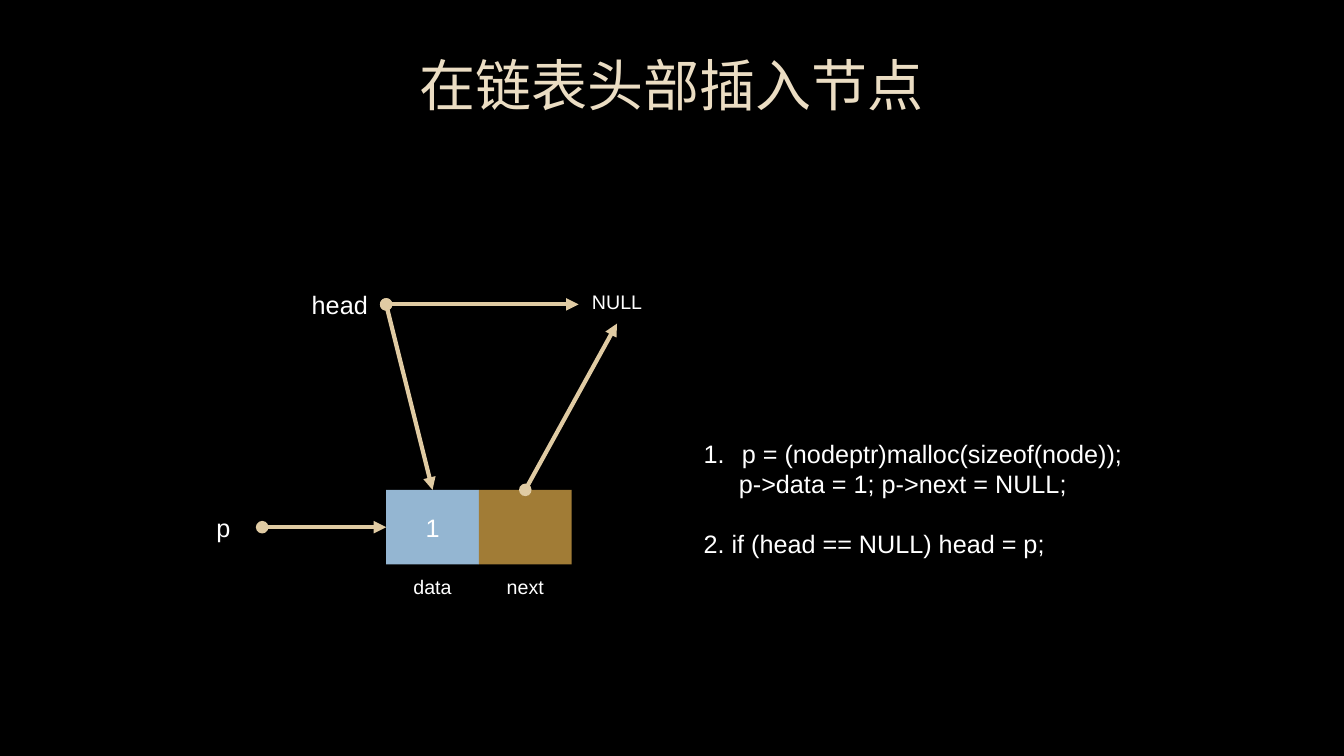
import pptx
import pptx.util
from lxml import etree
from pptx.dml.color import RGBColor
from pptx.enum.shapes import MSO_CONNECTOR, MSO_SHAPE
from pptx.enum.text import MSO_ANCHOR, PP_ALIGN
from pptx.oxml.ns import qn

BLACK = RGBColor(0x00, 0x00, 0x00)
WHITE = RGBColor(0xFF, 0xFF, 0xFF)
CREAM = RGBColor(0xEB, 0xDD, 0xC3)
SAND = RGBColor(0xE0, 0xCB, 0xA3)
BLUE = RGBColor(0x94, 0xB6, 0xD2)
BROWN = RGBColor(0xA1, 0x7C, 0x36)

inch = pptx.util.Inches
CELL_W, CELL_H, LABEL_H = 0.92, 0.74, 0.44
NODE_X, NODE_Y = 3.83, 4.86
NEXT_X = NODE_X + CELL_W
HEAD_Y = 3.02
P_Y = NODE_Y + CELL_H / 2
CODE_X, CODE_W = 6.88, 5.21

presentation = pptx.Presentation()
presentation.slide_width = inch(13.33)
presentation.slide_height = inch(7.5)
slide = presentation.slides.add_slide(presentation.slide_layouts[6])
slide.background.fill.solid()
slide.background.fill.fore_color.rgb = BLACK


def write(shape, text, size, color=WHITE, centered=True):
    frame = shape.text_frame
    frame.word_wrap = True
    frame.text = text
    frame.vertical_anchor = MSO_ANCHOR.MIDDLE if centered else MSO_ANCHOR.TOP
    for paragraph in frame.paragraphs:
        paragraph.alignment = PP_ALIGN.CENTER if centered else PP_ALIGN.LEFT
        for run in paragraph.runs:
            run.font.name = "Arial"
            run.font.size = pptx.util.Pt(size)
            run.font.color.rgb = color
    return frame


# Title and pointer labels
labels = [
    ("在链表头部插入节点", 1, 0.3, 11.32, 1.06, 40, CREAM),
    ("head", NODE_X - CELL_W, HEAD_Y - CELL_H / 2, CELL_W, CELL_H, 18, WHITE),
    ("p", 1.65, P_Y - LABEL_H / 2, 1.13, LABEL_H, 18, WHITE),
    ("NULL", 5.66, 2.77, CELL_W, LABEL_H, 14, WHITE),
]
for text, x, y, width, height, size, color in labels:
    box = slide.shapes.add_textbox(inch(x), inch(y), inch(width), inch(height))
    write(box, text, size, color)

# The node: one cell per field, with the field name below
fields = [("data", "1", BLUE), ("next", "", BROWN)]
for column, (field, value, color) in enumerate(fields):
    x = NODE_X + column * CELL_W
    cell = slide.shapes.add_shape(
        MSO_SHAPE.RECTANGLE, inch(x), inch(NODE_Y), inch(CELL_W), inch(CELL_H))
    cell.shadow.inherit = False
    cell.fill.solid()
    cell.fill.fore_color.rgb = color
    cell.line.fill.background()
    if value:
        write(cell, value, 18)
    caption = slide.shapes.add_textbox(
        inch(x), inch(NODE_Y + CELL_H), inch(CELL_W), inch(LABEL_H))
    write(caption, field, 14)

# Pointers: a dot at the holder, an arrowhead at the target
pointers = [
    (NODE_X, HEAD_Y, 5.74, HEAD_Y),
    (NODE_X, HEAD_Y, NODE_X + CELL_W / 2, NODE_Y),
    (2.6, P_Y, NODE_X, P_Y),
    (NEXT_X + CELL_W / 2, NODE_Y, 6.12, 3.21),
]
for ends in pointers:
    pointer = slide.shapes.add_connector(
        MSO_CONNECTOR.STRAIGHT, *[inch(length) for length in ends])
    pointer.line.color.rgb = SAND
    pointer.line.width = pptx.util.Pt(3)
    outline = pointer.line._get_or_add_ln()
    etree.SubElement(outline, qn("a:headEnd"), type="oval")
    etree.SubElement(outline, qn("a:tailEnd"), type="triangle")
    etree.SubElement(pointer._element.spPr, qn("a:effectLst"))

# Code steps
steps = [
    ("p = (nodeptr)malloc(sizeof(node));\np->data = 1; p->next = NULL;", 4.3, 0.71),
    ("2. if (head == NULL) head = p;", 5.19, 0.4),
]
frames = []
for code, y, height in steps:
    box = slide.shapes.add_textbox(
        inch(CODE_X), inch(y), inch(CODE_W), inch(height))
    frames.append(write(box, code, 18, centered=False))

allocate, assign = frames[0].paragraphs
numbering = allocate._p.get_or_add_pPr()
numbering.set("marL", str(inch(0.38)))
numbering.set("indent", str(inch(-0.38)))
etree.SubElement(numbering, qn("a:buFont"), typeface="+mj-lt")
etree.SubElement(numbering, qn("a:buAutoNum"), type="arabicPeriod")
assign._p.get_or_add_pPr().set("marL", str(inch(0.35)))

presentation.save("out.pptx")
